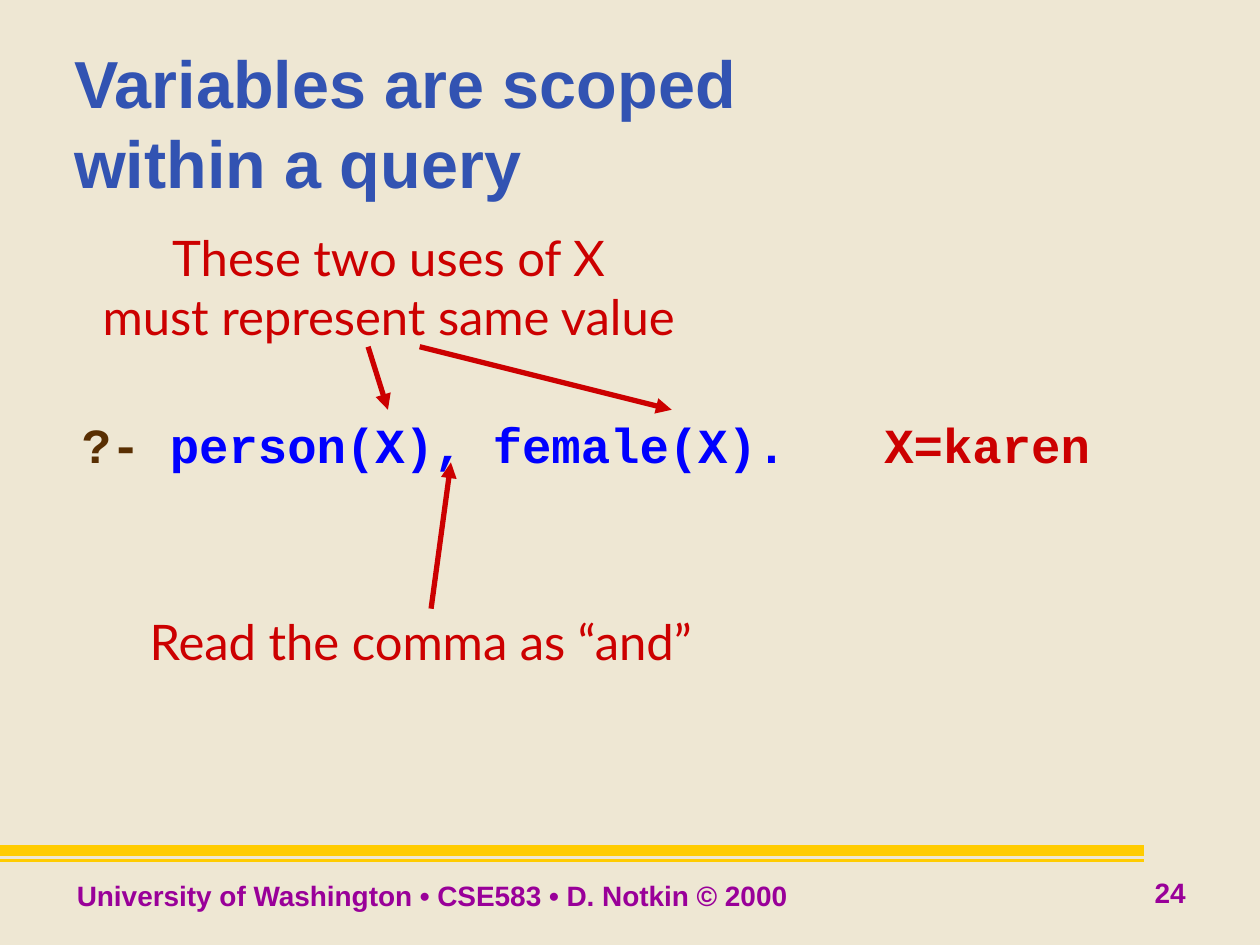
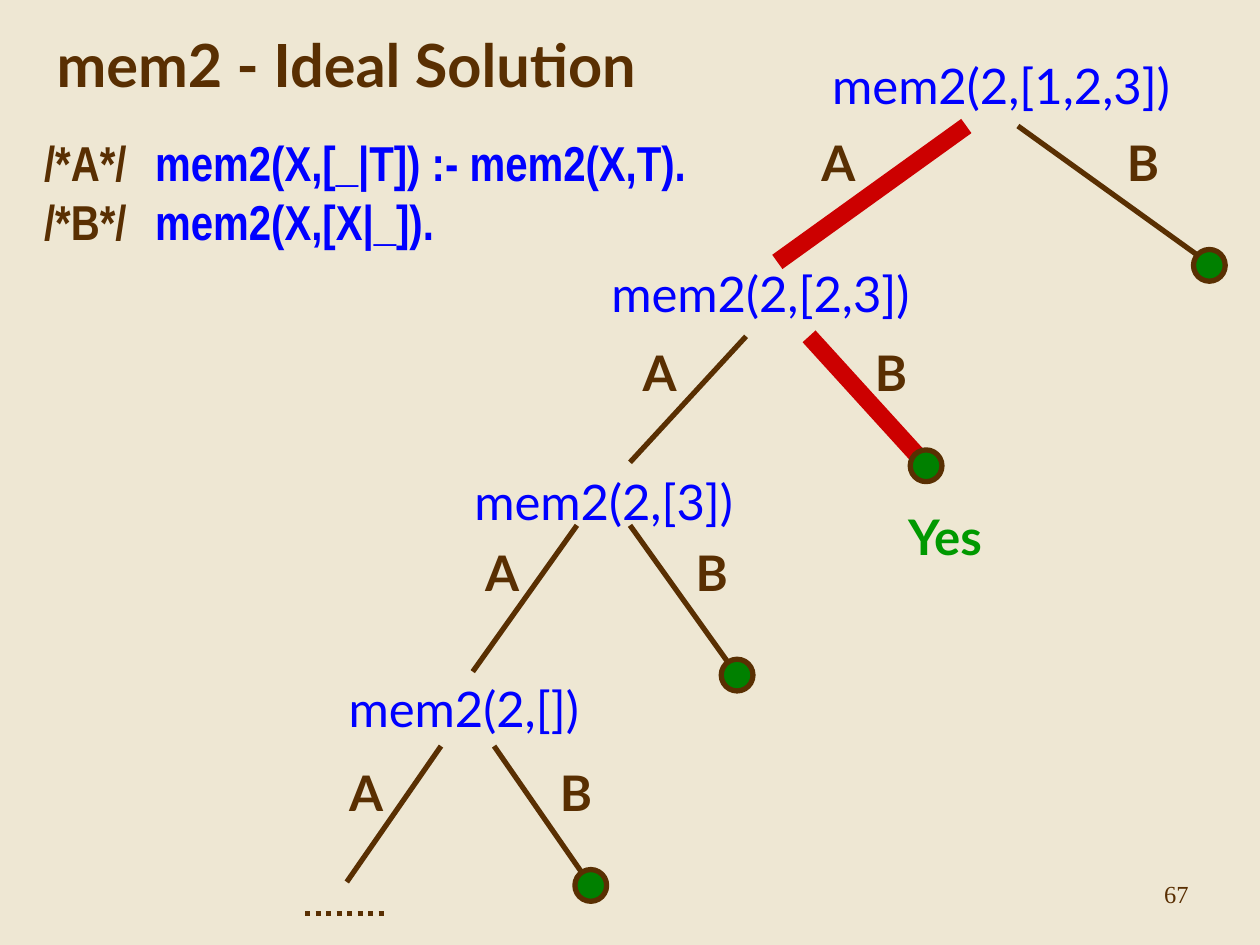
import dataclasses

import pptx
import pptx.dml.color
import pptx.enum.dml
import pptx.enum.shapes
import pptx.enum.text
import pptx.oxml
import pptx.oxml.ns
import pptx.util

Cm = pptx.util.Cm
Pt = pptx.util.Pt
ALIGN = pptx.enum.text.PP_ALIGN
ANCHOR = pptx.enum.text.MSO_ANCHOR
DASH = pptx.enum.dml.MSO_LINE
NODE_H = 1.45


@dataclasses.dataclass(frozen=True)
class Theme:
    paper: str = "EEE7D3"
    brown: str = "592F02"
    blue: str = "0000FF"
    red: str = "CC0000"
    heading: str = "3253B2"
    purple: str = "990099"
    gold: str = "FFCC00"
    dot: str = "008000"
    yes: str = "009900"
    body_font: str = "Lato"
    head_font: str = "Arial"
    code_font: str = "Courier New"
    rule_font: str = "Arial Narrow"
    number_font: str = "Times New Roman"
    head_size: int = 38
    alt_head_size: int = 34
    body_size: int = 28
    foot_size: int = 16
    number_size: int = 14
    thin: int = 3
    thick: int = 10


def rgb(value):
    return pptx.dml.color.RGBColor.from_string(value)


def add_text(p, text, *, font, size, color, bold=False):
    r = p.add_run()
    r.text = text
    r.font.name = font
    r.font.size = Pt(size)
    r.font.bold = bold
    r.font.color.rgb = rgb(color)


def add_tab(p, pos):
    pPr = p._p.get_or_add_pPr()
    tabs = pptx.oxml.parse_xml(
        f'<a:tabLst {pptx.oxml.ns.nsdecls("a")}>'
        f'<a:tab pos="{Cm(pos)}" algn="l"/></a:tabLst>')
    pPr.append(tabs)


class Deck:
    def __init__(self, theme):
        self.t = theme
        self.prs = pptx.Presentation()
        self.prs.slide_width = Cm(25.4)
        self.prs.slide_height = Cm(19.05)
        fill = self.prs.slide_master.background.fill
        fill.solid()
        fill.fore_color.rgb = rgb(theme.paper)
        self.s = None

    def new_slide(self):
        self.s = self.prs.slides.add_slide(self.prs.slide_layouts[5])

    def fill_frame(self, tf, lines, align, anchor, wrap, tab, color, **fmt):
        tf.word_wrap = wrap
        tf.auto_size = pptx.enum.text.MSO_AUTO_SIZE.NONE
        tf.vertical_anchor = anchor
        for i, line in enumerate(lines):
            p = tf.add_paragraph() if i else tf.paragraphs[0]
            if tab:
                add_tab(p, tab)
            p.alignment = align
            runs = [(line, color)] if isinstance(line, str) else line
            for text, run_color in runs:
                add_text(p, text, color=run_color, **fmt)

    def title(self, at, lines, *, font, size, color, align=ALIGN.LEFT):
        sp = self.s.shapes.title
        sp.left, sp.top, sp.width, sp.height = map(Cm, at)
        self.fill_frame(sp.text_frame, lines, align, ANCHOR.MIDDLE, True, None,
                        color, font=font, size=size, bold=True)

    def text(self, at, *lines, color=None, font=None, size=None, bold=False,
             align=ALIGN.CENTER, anchor=ANCHOR.MIDDLE, wrap=False, tab=None):
        sp = self.s.shapes.add_textbox(*map(Cm, at))
        self.fill_frame(sp.text_frame, lines, align, anchor, wrap, tab,
                        color or self.t.brown, font=font or self.t.body_font,
                        size=size or self.t.body_size, bold=bold)

    def label(self, cx, top, text, width=1.2, **fmt):
        self.text((cx - width / 2, top, width, NODE_H), text, **fmt)

    def line(self, x1, y1, x2, y2, *, color, width, arrow=False, dash=None):
        c = self.s.shapes.add_connector(
            pptx.enum.shapes.MSO_CONNECTOR.STRAIGHT, *map(Cm, (x1, y1, x2, y2)))
        c.line.color.rgb = rgb(color)
        c.line.width = Pt(width)
        if dash:
            c.line.dash_style = dash
        spPr = c._element.spPr
        ns = pptx.oxml.ns.nsdecls("a")
        if arrow:
            ln = spPr.find(pptx.oxml.ns.qn("a:ln"))
            ln.append(pptx.oxml.parse_xml(f'<a:tailEnd {ns} type="triangle"/>'))
        spPr.append(pptx.oxml.parse_xml(f"<a:effectLst {ns}/>"))

    def leaf(self, cx, cy, d=0.64):
        sp = self.s.shapes.add_shape(
            pptx.enum.shapes.MSO_SHAPE.OVAL,
            *map(Cm, (cx - d / 2, cy - d / 2, d, d)))
        sp.shadow.inherit = False
        sp.fill.solid()
        sp.fill.fore_color.rgb = rgb(self.t.dot)
        sp.line.color.rgb = rgb(self.t.brown)
        sp.line.width = Pt(self.t.thin)

    def footer(self, text, number):
        t = self.t
        for y, width in ((17.15, 6), (17.35, 2)):
            self.line(0, y, 23.06, y, color=t.gold, width=width)
        fmt = dict(font=t.head_font, size=t.foot_size, color=t.purple, bold=True)
        self.text((1.3, 17.58, 14.86, 0.94), text, align=ALIGN.LEFT,
                  anchor=ANCHOR.TOP, **fmt)
        self.text((22.23, 17.35, 2.72, 1.27), number, **fmt)


def scoping_slide(d):
    t = d.t
    d.new_slide()
    d.footer("University of Washington • CSE583 • D. Notkin © 2000", "24")
    d.title((1.24, 0.86, 22.81, 3.18), ["Variables are scoped", "within a query"],
            font=t.head_font, size=t.head_size, color=t.heading)
    query = [("?- ", t.brown), ("person(X), female(X).\t", t.blue),
             ("X=karen", t.red)]
    d.text((1.4, 8.23, 22.71, 1.4), query, font=t.code_font, bold=True,
           align=ALIGN.LEFT, anchor=ANCHOR.TOP, wrap=True, tab=16.18)
    d.text((2.31, 12.19, 12.34, NODE_H), "Read the comma as “and”", color=t.red)
    d.text((1.27, 4.45, 13.13, 2.64), "These two uses of X",
           "must represent same value", color=t.red)
    for ends in ((8.69, 12.27, 9.09, 9.32), (7.42, 6.99, 7.82, 8.26),
                 (8.46, 6.99, 13.54, 8.26)):
        d.line(*ends, color=t.red, width=t.thin, arrow=True)


def search_tree_slide(d):
    t = d.t
    d.new_slide()
    d.title((0.2, 0.43, 13.56, 1.7), ["mem2 - Ideal Solution"],
            font=t.body_font, size=t.alt_head_size, color=t.brown,
            align=ALIGN.CENTER)
    d.text((0.64, 2.54, 13.44, 2.64),
           [("/*A*/\t", t.brown), ("mem2(X,[_|T]) :- mem2(X,T).", t.blue)],
           [("/*B*/\t", t.brown), ("mem2(X,[X|_]).", t.blue)],
           font=t.rule_font, bold=True, align=ALIGN.LEFT, wrap=True, tab=2.24)

    # goal, centre, top, branch top, branch bottom, label top, chosen, A, B
    levels = (
        ("mem2(2,[1,2,3])", 20.18, 0.99, 2.54, 5.28, 2.54, "A",
         (19.48, 15.67, 16.9), (20.52, 24.33, 23.04)),
        ("mem2(2,[2,3])", 15.33, 5.18, 6.78, 9.32, 6.78, "B",
         (15.04, 12.7, 13.3), (16.31, 18.62, 17.96)),
        ("mem2(2,[3])", 12.17, 9.37, 10.59, 13.54, 10.8, None,
         (11.63, 9.53, 10.12), (12.7, 14.81, 14.35)),
        ("mem2(2,[])", 9.35, 13.54, 15.04, 17.78, 15.24, None,
         (8.89, 6.99, 7.38), (9.96, 11.86, 11.61)),
    )
    for goal, cx, top, y1, y2, label_top, chosen, a, b in levels:
        d.label(cx, top, goal, width=7, color=t.blue)
        for name, (x1, x2, label_x) in (("A", a), ("B", b)):
            hot = name == chosen
            d.line(x1, y1, x2, y2, color=t.red if hot else t.brown,
                   width=t.thick if hot else t.thin)
            d.label(label_x, label_top, name, bold=True)
        d.leaf(b[1] + 0.05, y2 + 0.07)
    d.label(19.05, 10.08, "Yes", width=2.18, color=t.yes, bold=True)
    d.line(6.15, 18.42, 7.82, 18.42, color=t.brown, width=t.thin,
           dash=DASH.ROUND_DOT)
    d.text((22.43, 17.58, 2.57, 0.86), "67", font=t.number_font,
           size=t.number_size)


def main():
    d = Deck(Theme())
    scoping_slide(d)
    search_tree_slide(d)
    d.prs.save("out.pptx")


if __name__ == "__main__":
    main()
